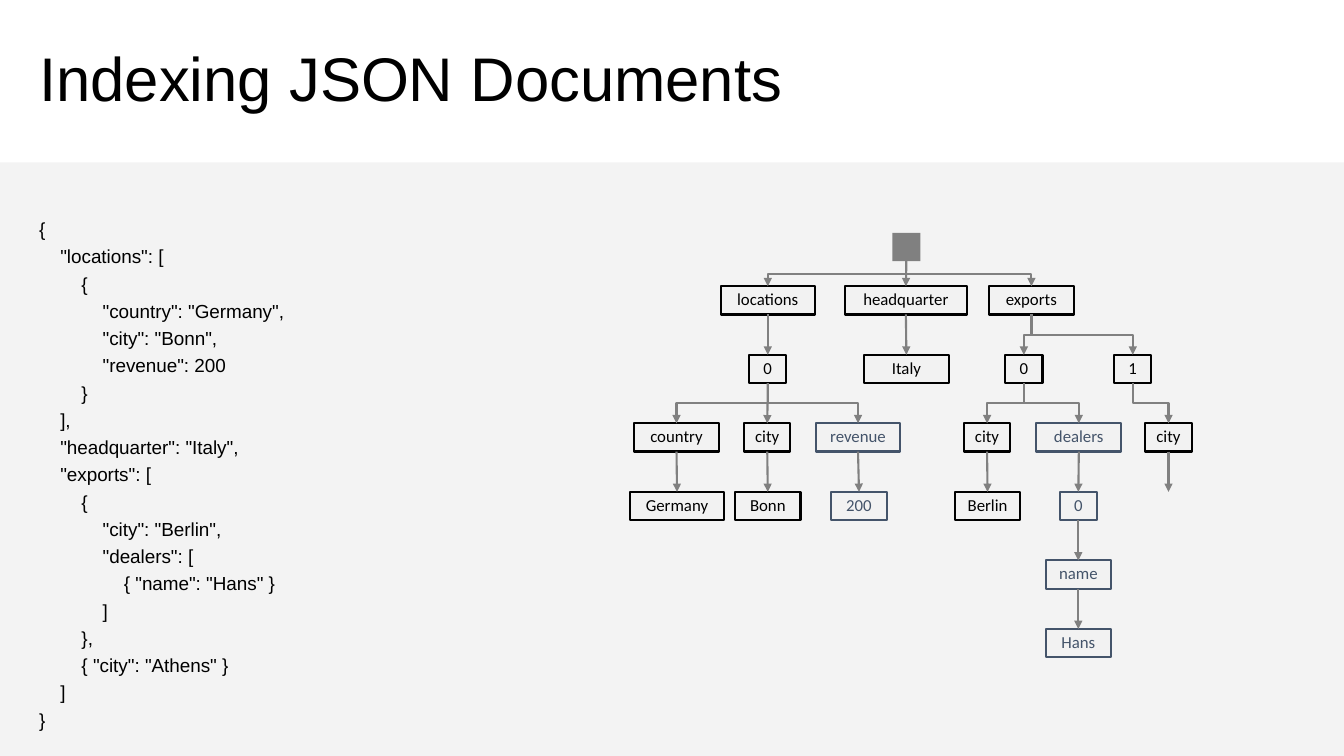
from lxml.etree import SubElement
from pptx import Presentation
from pptx.dml.color import RGBColor
from pptx.enum.shapes import MSO_CONNECTOR as Link, MSO_SHAPE as Preset
from pptx.enum.text import MSO_ANCHOR as Anchor, MSO_AUTO_SIZE as AutoSize, PP_ALIGN as Align
from pptx.oxml.ns import qn
from pptx.util import Pt

SCALE = 9144  # EMU per px, 100 px to the inch
COLOURS = {"panel": "F2F2F2", "ink": "000000", "slate": "44546A", "grey": "808080"}
BOX_HEIGHT = 28
FIRST_ROW, ROW_STEP = 284, 68
INDENT = 21

JSON_LINES = [  # depth, text
    (0, "{"),
    (1, '"locations": ['),
    (2, "{"),
    (3, '"country": "Germany",'),
    (3, '"city": "Bonn",'),
    (3, '"revenue": 200'),
    (2, "}"),
    (1, "],"),
    (1, '"headquarter": "Italy",'),
    (1, '"exports": ['),
    (2, "{"),
    (3, '"city": "Berlin",'),
    (3, '"dealers": ['),
    (4, '{ "name": "Hans" }'),
    (3, "]"),
    (2, "},"),
    (2, '{ "city": "Athens" }'),
    (1, "]"),
    (0, "}"),
]

TREE = [  # key, parent, text, left, row, width, colour
    ("locations", "root", "locations", 715, 0, 93, "ink"),
    ("headquarter", "root", "headquarter", 838, 0, 121, "ink"),
    ("exports", "root", "exports", 981, 0, 84, "ink"),
    ("location 0", "locations", "0", 743, 1, 37, "ink"),
    ("italy", "headquarter", "Italy", 857, 1, 84, "ink"),
    ("export 0", "exports", "0", 997, 1, 37, "ink"),
    ("export 1", "exports", "1", 1105, 1, 37, "ink"),
    ("country", "location 0", "country", 629, 2, 84, "ink"),
    ("location city", "location 0", "city", 738, 2, 46, "ink"),
    ("revenue", "location 0", "revenue", 809, 2, 84, "slate"),
    ("export city", "export 0", "city", 956, 2, 46, "ink"),
    ("dealers", "export 0", "dealers", 1028, 2, 84, "slate"),
    ("last city", "export 1", "city", 1136, 2, 46, "ink"),
    ("germany", "country", "Germany", 625, 3, 93, "ink"),
    ("bonn", "location city", "Bonn", 729, 3, 65, "ink"),
    ("200", "revenue", "200", 824, 3, 56, "slate"),
    ("berlin", "export city", "Berlin", 947, 3, 65, "ink"),
    ("dealer 0", "dealers", "0", 1051, 3, 37, "slate"),
    ("name", "dealer 0", "name", 1037, 4, 65, "slate"),
    ("hans", "name", "Hans", 1037, 5, 65, "slate"),
]


def px(*lengths):
    return [round(length * SCALE) for length in lengths]


def colour(name):
    return RGBColor.from_string(COLOURS[name])


def write(para, text, *, size, font="Arial", ink="ink", align=Align.LEFT, spacing=None):
    span = para.add_run()
    span.text = text
    span.font.size, span.font.name = Pt(size), font
    span.font.color.rgb = colour(ink)
    para.alignment = align
    para.line_spacing = spacing


def add_box(shapes, left, top, width, height, fill, line=None):
    box = shapes.add_shape(Preset.RECTANGLE, *px(left, top, width, height))
    box.shadow.inherit = False
    box.fill.solid()
    box.fill.fore_color.rgb = colour(fill)
    if line:
        box.line.color.rgb = colour(line)
        box.line.width = Pt(1.5)
    else:
        box.line.fill.background()
    return box


def add_node(shapes, text, left, row, width, ink):
    top = FIRST_ROW + row * ROW_STEP
    box = add_box(shapes, left, top, width, BOX_HEIGHT, "panel", ink)
    frame = box.text_frame
    frame.word_wrap = False
    frame.vertical_anchor = Anchor.MIDDLE
    frame.margin_left, frame.margin_right, frame.margin_top, frame.margin_bottom = px(10, 10, 10, 10)
    write(frame.paragraphs[0], text, size=12, font="Calibri", ink=ink,
          align=Align.CENTER, spacing=0.9)
    return box


def style_arrow(arrow):
    arrow.line.color.rgb = colour("grey")
    arrow.line.width = Pt(1.5)
    SubElement(arrow.line._get_or_add_ln(), qn("a:tailEnd"), type="triangle")
    SubElement(arrow._element.spPr, qn("a:effectLst"))


def add_elbow(shapes, x1, y1, x2, y2):
    """Draw a down-across-down elbow: a sideways elbow turned about its centre."""
    mid_x, mid_y = (x1 + x2) // 2, (y1 + y2) // 2
    reach = (y2 - y1) // 2
    half_span = abs(x2 - x1) // 2
    to_left = x2 < x1
    if not to_left:
        reach = -reach
    elbow = shapes.add_connector(Link.ELBOW, mid_x - reach, mid_y - half_span,
                                 mid_x + reach, mid_y + half_span)
    elbow._element.spPr.find(qn("a:xfrm")).set("rot", str((90 if to_left else 270) * 60000))
    return elbow


def link(shapes, parent, child):
    x1, y1 = parent.left + parent.width // 2, parent.top + parent.height
    x2, y2 = child.left + child.width // 2, child.top
    if abs(x2 - x1) <= 2 * SCALE:
        arrow = shapes.add_connector(Link.STRAIGHT, x1, y1, x2, y2)
        arrow.begin_connect(parent, 2)
        arrow.end_connect(child, 0)
    else:
        arrow = add_elbow(shapes, x1, y1, x2, y2)
    style_arrow(arrow)


def add_tree(page):
    shapes = page.shapes.add_group_shape().shapes
    boxes = {"root": add_box(shapes, 885, 231, 28, 28, "grey")}
    for key, _, *node in TREE:
        boxes[key] = add_node(shapes, *node)
    for key, parent, *_ in TREE:
        link(shapes, boxes[parent], boxes[key])
    last = boxes["last city"]
    open_arrow = shapes.add_connector(Link.STRAIGHT, *px(1159, 448, 1159, 488))
    open_arrow.begin_connect(last, 2)
    style_arrow(open_arrow)


def add_panel(page):
    panel = add_box(page.shapes, 0, 161, 1333, 589, "panel")
    tint = panel._element.spPr.find(qn("a:solidFill"))[0]
    SubElement(tint, qn("a:alpha"), val="89000")


def set_title(page, text):
    title = page.shapes.title
    title.left, title.top, title.width, title.height = px(29, 32, 1275, 98)
    title.text_frame.vertical_anchor = Anchor.MIDDLE
    write(title.text_frame.paragraphs[0], text, size=44, spacing=0.9)


def add_json(page):
    frame = page.shapes.add_textbox(*px(29, 211, 400, 524)).text_frame
    frame.word_wrap = True
    frame.auto_size = AutoSize.SHAPE_TO_FIT_TEXT
    for index, (depth, text) in enumerate(JSON_LINES):
        para = frame.add_paragraph() if index else frame.paragraphs[0]
        write(para, text, size=13.5)
        para.space_before = Pt(3.3)
        para._p.get_or_add_pPr().set("marL", str(depth * INDENT * SCALE))


def main():
    deck = Presentation()
    deck.slide_width, deck.slide_height = px(1333, 750)
    page = deck.slides.add_slide(deck.slide_layouts[5])
    add_panel(page)
    set_title(page, "Indexing JSON Documents")
    add_json(page)
    add_tree(page)
    deck.save("out.pptx")


if __name__ == "__main__":
    main()
